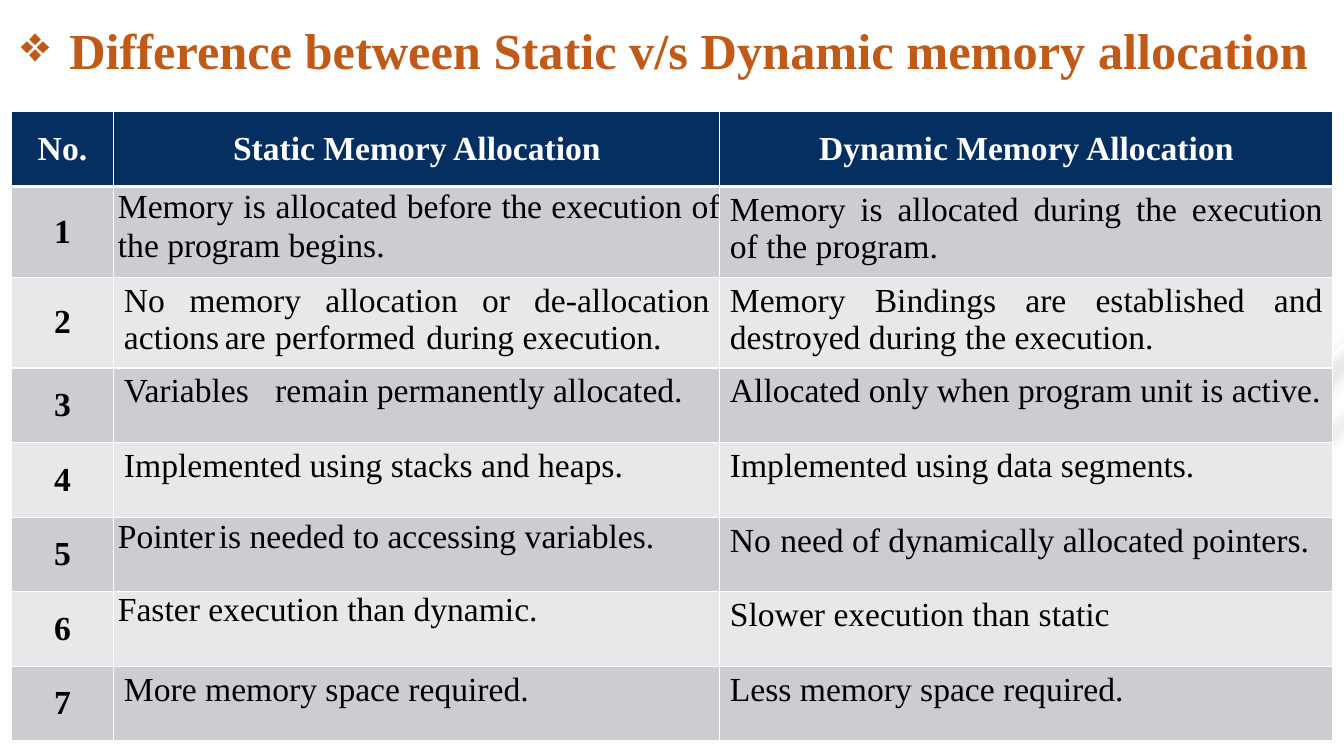
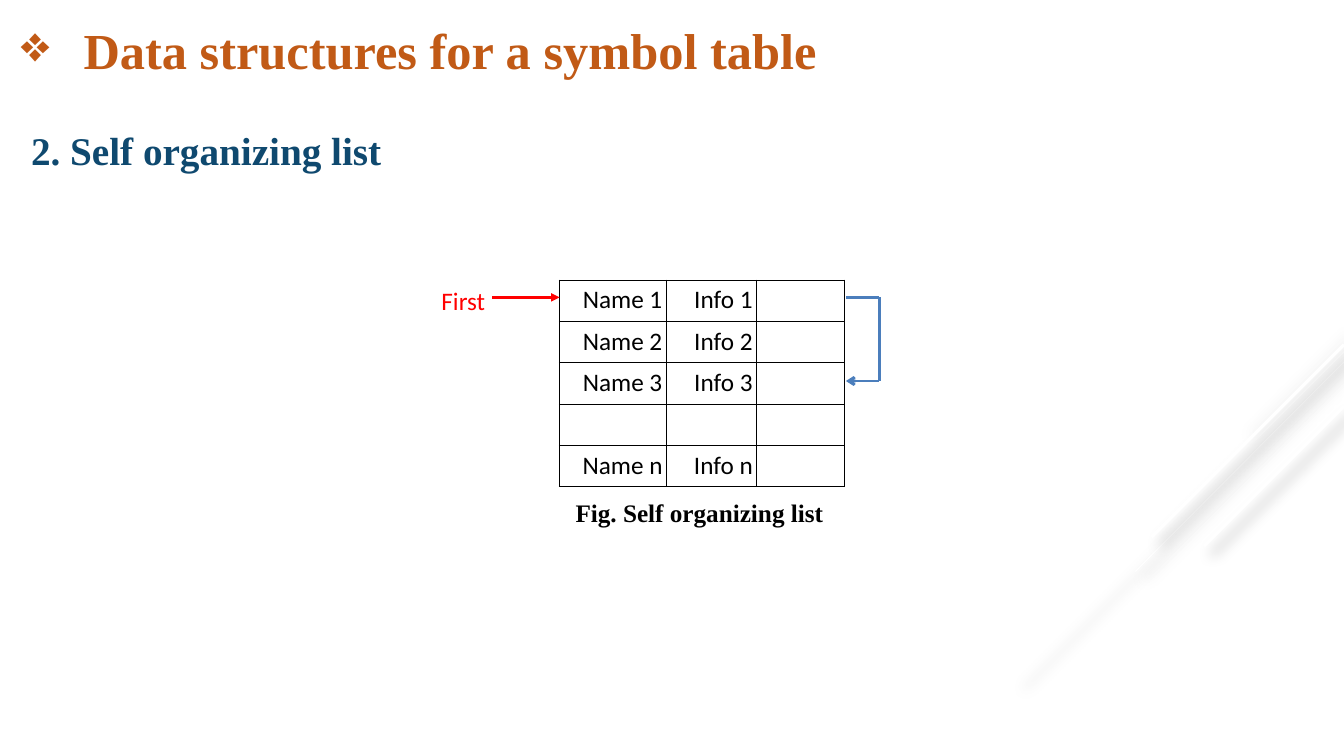
import pptx
import pptx.dml.color
import pptx.enum.shapes
import pptx.enum.text
import pptx.oxml
import pptx.oxml.ns
import pptx.util

Inches = pptx.util.Inches
Pt = pptx.util.Pt
RGBColor = pptx.dml.color.RGBColor
ALIGN = pptx.enum.text.PP_ALIGN
ANCHOR = pptx.enum.text.MSO_ANCHOR

WHITE = RGBColor(0xFF, 0xFF, 0xFF)
BLACK = RGBColor(0, 0, 0)
ORANGE = RGBColor(0xC1, 0x5A, 0x16)
TEAL = RGBColor(0x0F, 0x49, 0x6F)
NAVY = RGBColor(0x05, 0x2F, 0x61)
BAND_DARK = RGBColor(0xCC, 0xCD, 0xD2)
BAND_LIGHT = RGBColor(0xE7, 0xE8, 0xEA)
RED = RGBColor(0xFF, 0, 0)
LINK_BLUE = RGBColor(0x4B, 0x7E, 0xBC)

SERIF = "Times New Roman"
SANS = "Calibri"
CELL_MARGINS = (0.1, 0.05, 0.1, 0.05)
HALF_INCH_TABS = [0.5 * step for step in range(1, 11)]
RAYS = [
    (3.24, 12.33, 4.24, 0.75),
    (3.49, 10.07, 6.75, 0.75),
    (3.59, 11.26, 5.67, 0.75),
    (3.42, 11.42, 5.33, 2.25),
    (4.03, 11.94, 5.42, 2.25),
]


class Deck:
    """Hold the presentation style and the slide being built."""

    def __init__(self):
        self.presentation = pptx.Presentation()
        self.presentation.slide_width = Inches(13.33)
        self.presentation.slide_height = Inches(7.5)
        self.slide = None

    def element(self, parent, tag, **attributes):
        child = parent.makeelement(pptx.oxml.ns.qn(tag), {})
        for name, value in attributes.items():
            child.set(name, str(value))
        parent.append(child)
        return child

    def new_slide(self, title, hang, width):
        layout = self.presentation.slide_layouts[6]
        self.slide = self.presentation.slides.add_slide(layout)
        for top, end_x, end_y, weight in RAYS:
            self.line((13.33, top), (end_x, end_y), WHITE, weight, shadow=True)
        self.text((0.11, 0, width, 0.98), title, 36, ORANGE, bold=True,
                  anchor=ANCHOR.MIDDLE, indent=hang, bullet="❖")

    def line(self, start, end, color, weight, head=None, tail=None, shadow=False):
        connector = self.slide.shapes.add_connector(
            pptx.enum.shapes.MSO_CONNECTOR.STRAIGHT,
            *(Inches(value) for value in (*start, *end)))
        connector.line.color.rgb = color
        connector.line.width = Pt(weight)
        properties = connector._element.spPr
        outline = connector.line._get_or_add_ln()
        for tag, arrow in (("a:headEnd", head), ("a:tailEnd", tail)):
            if arrow:
                self.element(outline, tag, type=arrow)
        effects = self.element(properties, "a:effectLst")
        if shadow:
            outer = self.element(effects, "a:outerShdw", blurRad=Pt(10.2),
                                 dist=Pt(8), dir=45 * 60000, rotWithShape=0)
            black = self.element(outer, "a:srgbClr", val="000000")
            self.element(black, "a:alpha", val=35000)

    def paragraph(self, frame, content, size, color, font=SERIF, bold=False,
                  align=ALIGN.LEFT, spacing=None, indent=0, bullet=None, tabs=()):
        paragraph = frame.paragraphs[0]
        pieces = [(content, 0)] if isinstance(content, str) else content
        for words, tracking in pieces:
            run = paragraph.add_run()
            run.text = words
            if tracking:
                run._r.get_or_add_rPr().set("spc", str(tracking))
        properties = paragraph._p.get_or_add_pPr()
        properties.set("marL", str(Inches(indent)))
        properties.set("indent", str(Inches(-indent if bullet else 0)))
        if bullet:
            self.element(properties, "a:buChar", char=bullet)
        if tabs:
            stops = self.element(properties, "a:tabLst")
            for stop in tabs:
                self.element(stops, "a:tab", pos=Inches(stop), algn="l")
        paragraph.alignment = align
        if spacing:
            paragraph.line_spacing = spacing
        paragraph.font.name = font
        paragraph.font.size = Pt(size)
        paragraph.font.bold = bold
        paragraph.font.color.rgb = color

    def text(self, box, content, size, color, anchor=ANCHOR.TOP, fill=None, **style):
        place = [Inches(value) for value in box]
        if fill is None:
            shape = self.slide.shapes.add_textbox(*place)
        else:
            shape = self.slide.shapes.add_shape(
                pptx.enum.shapes.MSO_SHAPE.RECTANGLE, *place)
            shape.shadow.inherit = False
            shape.fill.solid()
            shape.fill.fore_color.rgb = fill
            shape.line.fill.background()
        shape.text_frame.word_wrap = True
        shape.text_frame.vertical_anchor = anchor
        self.paragraph(shape.text_frame, content, size, color, **style)

    def table(self, left, top, widths, row_height, row_count):
        table = self.slide.shapes.add_table(
            row_count, len(widths), Inches(left), Inches(top),
            Inches(sum(widths)), Inches(row_height * row_count)).table
        table.first_row = False
        table.horz_banding = False
        for column, width in zip(table.columns, widths):
            column.width = Inches(width)
        for row in table.rows:
            row.height = Inches(row_height)
        return table

    def cell(self, cell, content, size, color, border, fill=None, margins=CELL_MARGINS,
             anchor=ANCHOR.TOP, top_weight=1, bottom_weight=1, **style):
        properties = cell._tc.get_or_add_tcPr()
        weights = {"L": 1, "R": 1, "T": top_weight, "B": bottom_weight}
        for side, weight in weights.items():
            edge = self.element(properties, "a:ln" + side, w=Pt(weight))
            paint = self.element(edge, "a:solidFill")
            self.element(paint, "a:srgbClr", val=border)
        if fill is None:
            cell.fill.background()
        else:
            cell.fill.solid()
            cell.fill.fore_color.rgb = fill
        (cell.margin_left, cell.margin_top,
         cell.margin_right, cell.margin_bottom) = map(Inches, margins)
        cell.vertical_anchor = anchor
        self.paragraph(cell.text_frame, content, size, color, **style)


def build_comparison(deck):
    deck.new_slide("Difference between Static v/s Dynamic memory allocation", 0.48, 13.06)
    headings = ["No.", "Static Memory Allocation", "Dynamic Memory Allocation"]
    before_execution = [
        ("Memory is allocated ", 0), ("before ", -10), ("the ", -30),
        ("execution of the ", 0), ("program ", -10), ("begins.", 0),
    ]
    flush = {"margins": (0, 0, 0, 0), "indent": 0.04}
    spaced = {**flush, "spacing": 1.05, "tabs": [0.73, 1.03, 1.74, 2.09]}
    tabbed = {"tabs": HALF_INCH_TABS}
    differences = [
        (before_execution, spaced,
         "Memory is allocated during the execution of the program."),
        ("No memory allocation or de-allocation actions\tare\tperformed\tduring execution.",
         tabbed, "Memory Bindings are established and destroyed during the execution."),
        ("Variables\tremain permanently allocated.", tabbed,
         "Allocated only when program unit is active."),
        ("Implemented using stacks and heaps.", {}, "Implemented using data segments."),
        ("Pointer\tis needed to accessing variables.", spaced,
         "No\tneed of dynamically allocated pointers."),
        ("Faster execution than dynamic.", flush, "Slower execution than static"),
        ("More memory space required.", {}, "Less memory space required."),
    ]
    table = deck.table(0.11, 1.11, [1.02, 6.01, 6.08], 0.74, len(differences) + 1)
    centred = {"bold": True, "align": ALIGN.CENTER, "anchor": ANCHOR.MIDDLE}
    for column, heading in enumerate(headings):
        deck.cell(table.cell(0, column), heading, 24, WHITE, WHITE, NAVY,
                  bottom_weight=3, **centred)
    for number, (static, static_style, dynamic) in enumerate(differences, 1):
        band = BAND_DARK if number % 2 else BAND_LIGHT
        entries = [(str(number), centred),
                   (static, {"align": ALIGN.JUSTIFY, **static_style}),
                   (dynamic, {"align": ALIGN.JUSTIFY, **tabbed})]
        for column, (content, style) in enumerate(entries):
            deck.cell(table.cell(number, column), content, 24, BLACK, WHITE, band,
                      top_weight=3 if number == 1 else 1, **style)


def build_symbol_table(deck):
    deck.new_slide("Data structures for a symbol table", 0.62, 11.22)
    deck.text((0.21, 1.14, 12.92, 6.13), "2. Self organizing list", 28, TEAL,
              bold=True, align=ALIGN.JUSTIFY, spacing=1.14)
    deck.text((4.28, 2.78, 0.82, 0.34), "First", 18, RED, font=SANS, fill=WHITE)
    suffixes = ["1", "2", "3", "", "n"]
    records = deck.table(5.55, 2.78, [1.06, 0.89, 0.88], 0.41, len(suffixes))
    for row, suffix in enumerate(suffixes):
        for column, (field, indent) in enumerate([("Name", 0.19), ("Info", 0.24), ("", 0)]):
            content = f"{field} {suffix}" if field and suffix else ""
            deck.cell(records.cell(row, column), content, 18, BLACK, BLACK,
                      margins=(0.01, 0, 0.01, 0), font=SANS, align=ALIGN.CENTER,
                      spacing=1.15, indent=indent)
    deck.line((4.88, 2.95), (5.55, 2.95), RED, 2, tail="triangle")
    deck.line((8.39, 3.78), (8.72, 3.78), LINK_BLUE, 2, head="arrow")
    deck.line((8.72, 3.78), (8.72, 2.95), LINK_BLUE, 2)
    deck.line((8.72, 2.95), (8.39, 2.95), LINK_BLUE, 2)
    deck.text((5.61, 4.88, 3.46, 0.4), "Fig. Self organizing list", 18, BLACK, bold=True)


def main():
    deck = Deck()
    build_comparison(deck)
    build_symbol_table(deck)
    deck.presentation.save("out.pptx")


if __name__ == "__main__":
    main()
